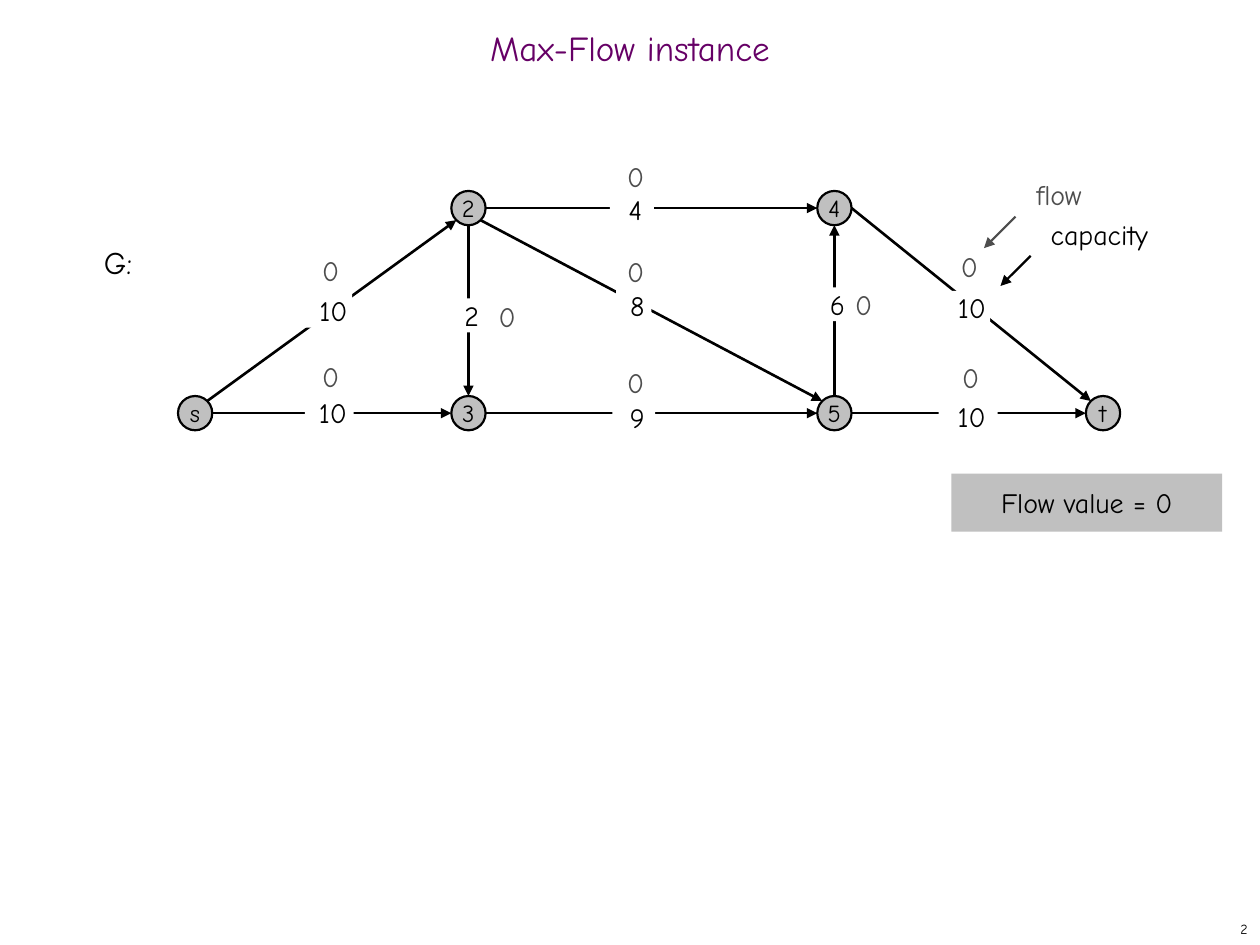
from dataclasses import dataclass
from math import cos, radians, sin

from lxml import etree
from pptx import Presentation
from pptx.dml.color import RGBColor
from pptx.enum.shapes import MSO_CONNECTOR, MSO_SHAPE
from pptx.enum.text import MSO_ANCHOR, MSO_AUTO_SIZE, PP_ALIGN
from pptx.oxml.ns import qn
from pptx.util import Pt

LINE = MSO_CONNECTOR.STRAIGHT
OVAL, RECT = MSO_SHAPE.OVAL, MSO_SHAPE.RECTANGLE
TOP, MIDDLE = MSO_ANCHOR.TOP, MSO_ANCHOR.MIDDLE
LEFT, CENTER, RIGHT = PP_ALIGN.LEFT, PP_ALIGN.CENTER, PP_ALIGN.RIGHT
FIXED = MSO_AUTO_SIZE.NONE


@dataclass(frozen=True)
class Theme:
    """Hold the colours, font and type sizes of the slide."""
    font: str = "Comic Neue"
    ink: str = "000000"
    plum: str = "660066"
    dim: str = "4D4D4D"
    grey: str = "C0C0C0"
    paper: str = "FFFFFF"
    head: int = 20
    graph: int = 18
    label: int = 16
    node: int = 14
    page: int = 8


THEME = Theme()
RADIUS = 9.8
LOW, HIGH = 236.1, 118.9
NODES = {
    "s": (111.5, LOW), "2": (267.7, HIGH), "3": (267.7, LOW),
    "4": (476.8, HIGH), "5": (476.8, LOW), "t": (630.3, LOW),
}
EDGES = [
    ("s", -45, "2", 135), ("s", 0, "3", 180), ("3", 0, "5", 180),
    ("2", 0, "4", 180), ("2", 90, "3", -90), ("5", -90, "4", 90),
    ("2", 45, "5", -135), ("4", 0, "t", -135), ("5", 0, "t", 180),
]
CAPS = [
    ("10", 174.2, 226, 28, 4), ("10", 167.8, 167.8, 33.4, 12),
    ("9", 350, 229, 24.5, 4), ("8", 352, 165, 20.2, 4),
    ("4", 348.5, 110.2, 25.2, 4), ("10", 536.4, 228.2, 33.8, 4),
    ("10", 532.8, 166.3, 33.1, 12), ("6", 460, 164.2, 33.1, 4),
    ("2", 250.6, 170.6, 33.8, 4),
]
FLOWS = [
    (175.7, 144.7), (350, 91.4), (540.7, 142.6), (175.7, 205.2), (350, 208.8),
    (541.4, 205.9), (350, 145.4), (276.5, 171.4), (480.2, 164.2),
]


def style(shape, text, size, color, pads=(0, 0, 0, 0), align=CENTER,
          anchor=TOP, wrap=True):
    """Fill a shape with formatted text."""
    frame = shape.text_frame
    frame.text = text
    frame.auto_size = FIXED
    frame.word_wrap = wrap
    frame.vertical_anchor = anchor
    (frame.margin_left, frame.margin_top,
     frame.margin_right, frame.margin_bottom) = map(Pt, pads)
    para = frame.paragraphs[0]
    para.alignment = align
    font = para.runs[0].font
    font.name, font.size = THEME.font, Pt(size)
    font.color.rgb = RGBColor.from_string(color)


def panel(slide, kind, box, fill, edge=None):
    """Add a flat shape with an optional outline."""
    shape = slide.shapes.add_shape(kind, *map(Pt, box))
    shape.shadow.inherit = False
    shape.fill.solid()
    shape.fill.fore_color.rgb = RGBColor.from_string(fill)
    if edge:
        shape.line.color.rgb = RGBColor.from_string(edge)
        shape.line.width = Pt(1.25)
    else:
        shape.line.fill.background()
    return shape


def label(slide, box, text, size, color, **look):
    """Add a text box."""
    style(slide.shapes.add_textbox(*map(Pt, box)), text, size, color, **look)


def arrow(slide, start, end, color, width):
    """Add a line with an arrowhead at its end."""
    line = slide.shapes.add_connector(LINE, *map(Pt, (*start, *end)))
    line.line.color.rgb = RGBColor.from_string(color)
    line.line.width = Pt(width)
    etree.SubElement(line.line._get_or_add_ln(), qn("a:tailEnd"), type="triangle")
    etree.SubElement(line._element.spPr, qn("a:effectLst"))


def rim(name, angle):
    """Return the point on a node's rim at a clockwise angle."""
    x, y = NODES[name]
    turn = radians(angle)
    return x + RADIUS * cos(turn), y + RADIUS * sin(turn)


def node(slide, name):
    """Add a named node."""
    x, y = NODES[name]
    box = (x - RADIUS, y - RADIUS, 2 * RADIUS, 2 * RADIUS)
    shape = panel(slide, OVAL, box, THEME.grey, THEME.ink)
    style(shape, name, THEME.node, THEME.ink, (7.2, 3.6, 7.2, 3.6),
          anchor=MIDDLE, wrap=False)


def title(slide, text):
    """Place and format the title."""
    shape = slide.shapes.title
    shape.left, shape.top, shape.width, shape.height = map(Pt, (0, 12.2, 720, 36))
    style(shape, text, THEME.head, THEME.plum, (7.2, 3.6, 7.2, 3.6), anchor=MIDDLE)
    shape.text_frame.paragraphs[0].line_spacing = 0.7


def network(slide):
    """Draw the edges, nodes, capacities and flows."""
    for tail, out, head, into in EDGES:
        arrow(slide, rim(tail, out), rim(head, into), THEME.ink, 1.5)
    for name in NODES:
        node(slide, name)
    for text, x, y, width, pad in CAPS:
        shape = panel(slide, RECT, (x, y, width, 19.4), THEME.paper)
        style(shape, text, THEME.label, THEME.ink, (pad, 0, 0, 0))
    for x, y in FLOWS:
        label(slide, (x, y, 26.6, 13.7), "0", THEME.label, THEME.dim)


def legend(slide):
    """Explain the flow and capacity numbers."""
    pads = (7.2, 3.6, 7.2, 3.6)
    label(slide, (579.6, 97.9, 51.1, 26.6), "flow", THEME.label, THEME.dim, pads=pads)
    label(slide, (583.9, 121, 88.6, 26.6), "capacity", THEME.label, THEME.ink, pads=pads)
    arrow(slide, (580.3, 123.8), (562.3, 141.8), THEME.dim, 1.25)
    arrow(slide, (589, 146.2), (571.7, 163.4), THEME.ink, 1.25)


def main():
    """Build and save the slide."""
    deck = Presentation()
    deck.slide_width, deck.slide_height = Pt(720), Pt(540)
    slide = deck.slides.add_slide(deck.slide_layouts[5])
    title(slide, "Max-Flow instance")
    network(slide)
    graph = panel(slide, RECT, (53.3, 139, 34.6, 21.6), THEME.paper)
    style(graph, "G:", THEME.graph, THEME.ink, (6, 0, 0, 0), LEFT)
    value = panel(slide, RECT, (543.6, 270.7, 154.8, 33.1), THEME.grey)
    style(value, "Flow value = 0", THEME.label, THEME.ink,
          (7.2, 10.8, 7.2, 10.8), anchor=MIDDLE)
    legend(slide)
    label(slide, (570.2, 522, 149.8, 18), "2", THEME.page, THEME.ink,
          pads=(7.2, 3.6, 7.2, 3.6), align=RIGHT, anchor=MIDDLE)
    deck.save("out.pptx")


if __name__ == "__main__":
    main()
